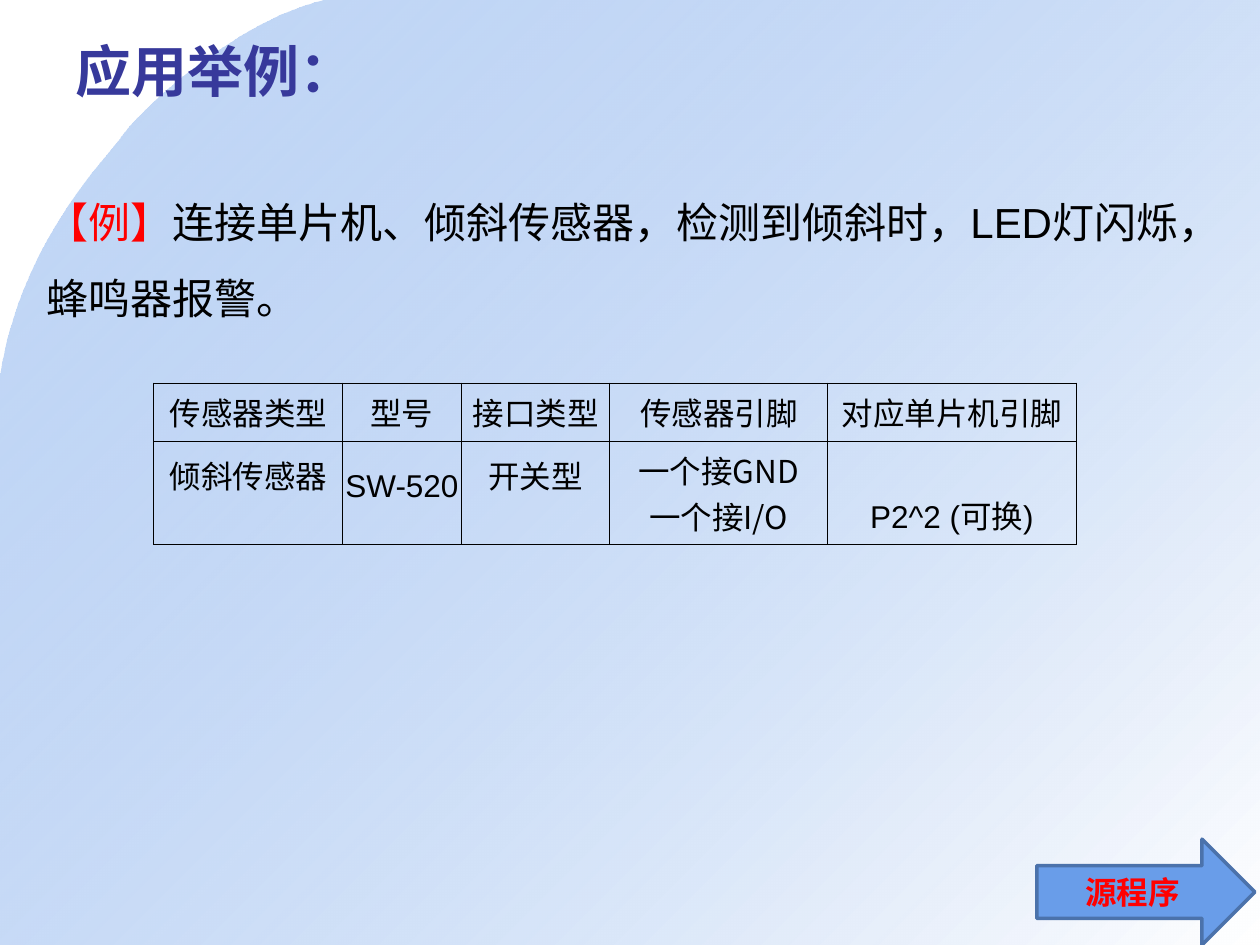
import pptx
import pptx.util
import pptx.dml.color
import pptx.enum.shapes
import pptx.enum.text
import pptx.oxml
import pptx.oxml.ns
from pptx.util import Inches

MIDDLE = pptx.enum.text.MSO_ANCHOR.MIDDLE
CENTER = pptx.enum.text.PP_ALIGN.CENTER


def rgb(color):
    return pptx.dml.color.RGBColor.from_string(color)


def add_text(p, text, size=18, font="Arial", color="000000", bold=False):
    r = p.add_run()
    r.text = text
    r.font.size = pptx.util.Pt(size)
    r.font.name = font
    r.font.color.rgb = rgb(color)
    r.font.bold = bold


prs = pptx.Presentation()
prs.slide_width, prs.slide_height = Inches(10), Inches(7.5)
s = prs.slides.add_slide(prs.slide_layouts[6])

# Curved background: Bezier segments sampled as short lines
curves = [
    [(2.58, 0), (1.9, 0.16), (1.16, 0.83), (0.98, 1.07)],
    [(0.98, 1.07), (0.8, 1.32), (0.16, 1.94), (0, 3.01)],
]
steps = 24
points = []
for a, b, c, d in curves:
    for i in range(1, steps + 1):
        t = i / steps
        u = 1 - t
        points.append([
            Inches(u**3 * a[k] + 3 * u * u * t * b[k] + 3 * u * t * t * c[k] + t**3 * d[k])
            for k in range(2)
        ])
points += [(Inches(x), Inches(y)) for x, y in [(0, 7.5), (10, 7.5), (10, 0)]]
builder = s.shapes.build_freeform(Inches(2.58), 0)
builder.add_line_segments(points, close=True)
sp = builder.convert_to_shape()
sp.shadow.inherit = False
sp.line.fill.background()
sp.fill.gradient()
sp.fill.gradient_angle = 315
for stop, color in zip(sp.fill.gradient_stops, ["699DE9", "FFFFFF"]):
    stop.color.rgb = rgb(color)
first_color = sp._element.spPr.find(".//" + pptx.oxml.ns.qn("a:srgbClr"))
first_color.append(pptx.oxml.parse_xml(
    f'<a:alpha {pptx.oxml.ns.nsdecls("a")} val="39000"/>'))

# Title
tf = s.shapes.add_textbox(Inches(0.5), Inches(0.25), Inches(9), Inches(0.62)).text_frame
tf.word_wrap = True
tf.vertical_anchor = MIDDLE
add_text(tf.paragraphs[0], "应用举例：", size=32, color="37399B", bold=True)

# Task description; the wider right margin keeps the comma from hanging
tf = s.shapes.add_textbox(Inches(0.27), Inches(1.31), Inches(9.45), Inches(1.42)).text_frame
tf.word_wrap = True
tf.margin_right = Inches(0.3)
p = tf.paragraphs[0]
p.line_spacing = 1.5
add_text(p, "【例】", size=24, color="FF0000")
add_text(p, "连接单片机、倾斜传感器，检测到倾斜时，LED灯闪烁，蜂鸣器报警。", size=24)

# Source program arrow
sp = s.shapes.add_shape(pptx.enum.shapes.MSO_SHAPE.RIGHT_ARROW,
                        Inches(8.23), Inches(6.66), Inches(1.73), Inches(0.84))
sp.shadow.inherit = False
sp.fill.solid()
sp.fill.fore_color.rgb = rgb("699DE9")
sp.line.color.rgb = rgb("4B72AB")
sp.line.width = pptx.util.Pt(2)
tf = sp.text_frame
tf.vertical_anchor = MIDDLE
p = tf.paragraphs[0]
p.alignment = CENTER
add_text(p, "源程序", color="FF0000", bold=True)

# Sensor table
rows = [
    ["传感器类型", "型号", "接口类型", "传感器引脚", "对应单片机引脚"],
    ["倾斜传感器", "SW-520", "开关型", "一个接GND\n一个接I/O", "P2^2 (可换)"],
]
widths = [1.5, 0.94, 1.18, 1.73, 1.97]
heights = [0.46, 0.82]
# The first three values of the second row sit above the cell bottom
bottom_margins = [[0.05] * 5, [0.37, 0.32, 0.37, 0.05, 0.05]]
table = s.shapes.add_table(len(rows), len(widths), Inches(1.22), Inches(3.04),
                           Inches(sum(widths)), Inches(sum(heights))).table
table.first_row = table.horz_banding = False
for column, width in zip(table.columns, widths):
    column.width = Inches(width)
for row, height in zip(table.rows, heights):
    row.height = Inches(height)
for i, row in enumerate(rows):
    for j, text in enumerate(row):
        cell = table.cell(i, j)
        cell.margin_left = cell.margin_right = Inches(0.01)
        cell.margin_top = Inches(0.05)
        cell.margin_bottom = Inches(bottom_margins[i][j])
        cell.vertical_anchor = pptx.enum.text.MSO_ANCHOR.BOTTOM
        font = "Noto Sans CJK SC" if i == 1 and j in (2, 3) else "Arial"
        for n, line in enumerate(text.split("\n")):
            p = cell.text_frame.add_paragraph() if n else cell.text_frame.paragraphs[0]
            p.alignment = CENTER
            add_text(p, line, font=font)
        # Thin black borders come before the fill in the cell properties
        for side in ["lnL", "lnR", "lnT", "lnB"]:
            cell._tc.get_or_add_tcPr().append(pptx.oxml.parse_xml(
                f'<a:{side} {pptx.oxml.ns.nsdecls("a")} w="5715"><a:solidFill>'
                f'<a:srgbClr val="000000"/></a:solidFill></a:{side}>'))
        cell.fill.background()

prs.save("out.pptx")
